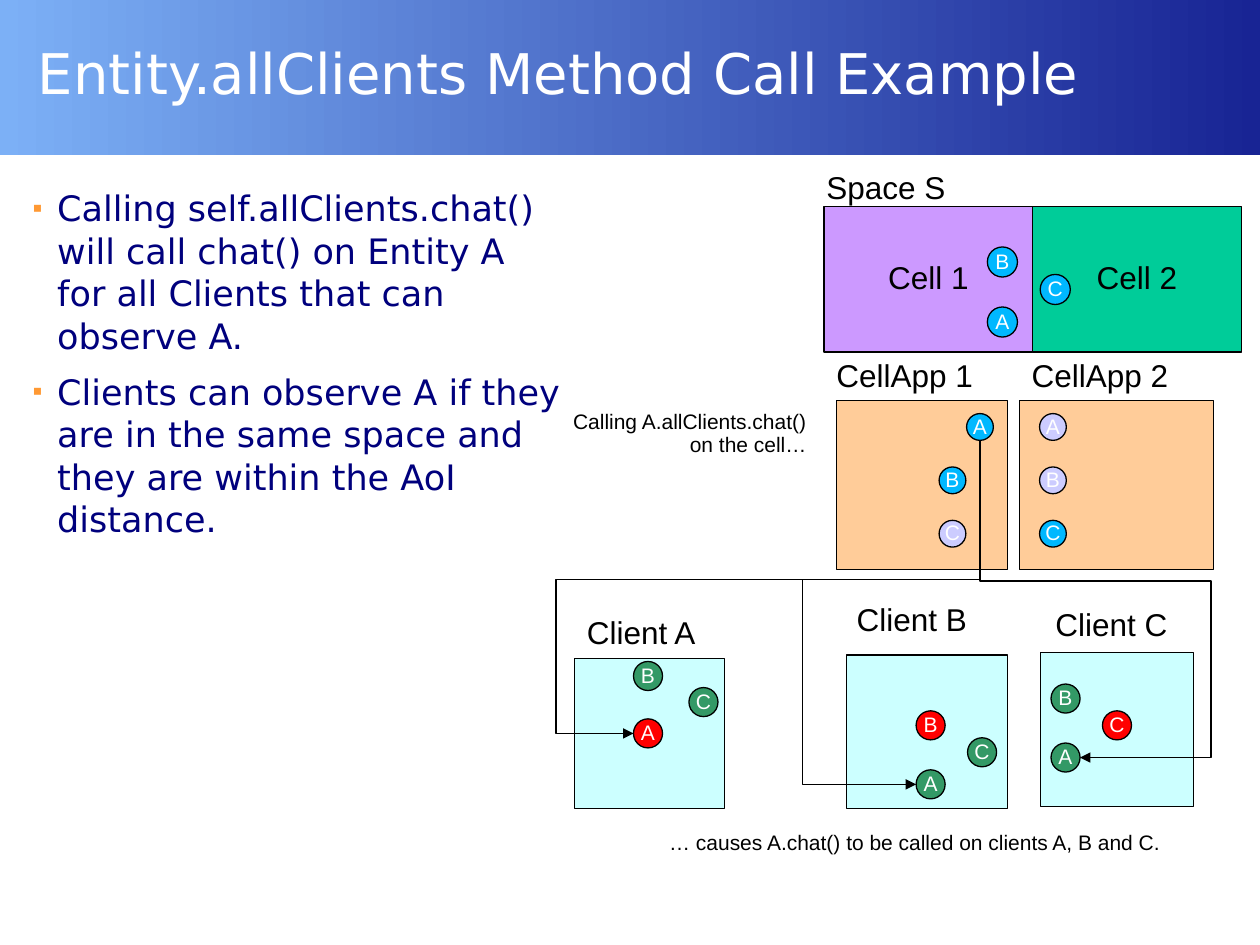
from dataclasses import dataclass

from lxml.etree import SubElement
from pptx import Presentation
from pptx.dml.color import RGBColor
from pptx.enum.shapes import MSO_CONNECTOR, MSO_SHAPE
from pptx.enum.text import MSO_ANCHOR, MSO_AUTO_SIZE, PP_ALIGN
from pptx.oxml.ns import qn
from pptx.util import Pt


@dataclass(frozen=True)
class Theme:
    black: str = "000000"
    white: str = "FFFFFF"
    banner_left: str = "7CB0F6"
    banner_right: str = "182494"
    body: str = "00007D"
    bullet: str = "FF9933"
    cell_1: str = "CC99FF"
    cell_2: str = "00CC99"
    cell_app: str = "FFCC99"
    client: str = "CCFFFF"
    real: str = "00B8FF"
    ghost: str = "CCCCFF"
    player: str = "FF0000"
    other: str = "339966"
    heading_font: str = "DejaVu Sans"
    label_font: str = "Arial"
    title_size: float = 32
    body_size: float = 20
    label_size: float = 18
    small_size: float = 12
    line_width: float = 0.75


class SlideBuilder:
    def __init__(self, slide, theme):
        self.s, self.t = slide, theme

    def style(self, tf, font, size, color, spacing, align=PP_ALIGN.LEFT):
        for p in tf.paragraphs:
            p.alignment, p.line_spacing = align, spacing
            for r in p.runs:
                r.font.name, r.font.size = font, Pt(size)
                r.font.color.rgb = RGBColor.from_string(color)

    def place(self, sp, x, y, w, h):
        sp.left, sp.top, sp.width, sp.height = Pt(x), Pt(y), Pt(w), Pt(h)

    def insets(self, tf, left, top, right, bottom):
        tf.margin_left, tf.margin_top = Pt(left), Pt(top)
        tf.margin_right, tf.margin_bottom = Pt(right), Pt(bottom)

    def banner(self, x, y, w, h):
        sp = self.s.shapes.add_shape(MSO_SHAPE.RECTANGLE, Pt(x), Pt(y), Pt(w), Pt(h))
        sp.shadow.inherit = False
        sp.line.fill.background()
        sp.fill.gradient()
        sp.fill.gradient_angle = 0
        colors = (self.t.banner_left, self.t.banner_right)
        for stop, color in zip(sp.fill.gradient_stops, colors):
            stop.color.rgb = RGBColor.from_string(color)
        self.s.shapes._spTree.insert(2, sp._element)  # behind the title

    def title(self, text, *box):
        sp = self.s.shapes.title
        self.place(sp, *box)
        tf = sp.text_frame
        tf.text = text
        tf.auto_size, tf.vertical_anchor = MSO_AUTO_SIZE.NONE, MSO_ANCHOR.MIDDLE
        self.insets(tf, 7.2, 3, 7.2, 3.6)
        self.style(tf, self.t.heading_font, self.t.title_size, self.t.white, 1.01)

    def bullets(self, items, *box):
        sp = self.s.placeholders[1]
        self.place(sp, *box)
        tf = sp.text_frame
        tf.text = "\n".join(items)
        tf.auto_size, tf.vertical_anchor = MSO_AUTO_SIZE.NONE, MSO_ANCHOR.TOP
        self.insets(tf, 4.3, 0.7, 2.9, 3.6)
        self.style(tf, self.t.heading_font, self.t.body_size, self.t.body, 1.01)
        for i, p in enumerate(tf.paragraphs):
            p.space_before = Pt(8 if i else 0)
            pPr = p._p.get_or_add_pPr()
            pPr.set("marL", str(Pt(14)))
            pPr.set("indent", str(Pt(-14)))
            SubElement(SubElement(pPr, qn("a:buClr")), qn("a:srgbClr"), val=self.t.bullet)
            SubElement(pPr, qn("a:buSzPct"), val="80000")
            SubElement(pPr, qn("a:buChar"), char="▪")

    def shape(self, kind, x, y, w, h, fill, text, size, color):
        sp = self.s.shapes.add_shape(kind, Pt(x), Pt(y), Pt(w), Pt(h))
        sp.shadow.inherit = False
        sp.fill.solid()
        sp.fill.fore_color.rgb = RGBColor.from_string(fill)
        sp.line.color.rgb = RGBColor.from_string(self.t.black)
        sp.line.width = Pt(self.t.line_width)
        tf = sp.text_frame
        tf.word_wrap, tf.vertical_anchor = False, MSO_ANCHOR.MIDDLE
        if text:
            tf.text = text
            self.style(tf, self.t.label_font, size, color, 0.93, PP_ALIGN.CENTER)
        return sp

    def box(self, x, y, w, h, fill, text=""):
        return self.shape(MSO_SHAPE.RECTANGLE, x, y, w, h, fill, text,
                          self.t.label_size, self.t.black)

    def entity(self, name, cx, cy, d, fill):
        return self.shape(MSO_SHAPE.OVAL, cx - d / 2, cy - d / 2, d, d, fill, name,
                          self.t.small_size, self.t.white)

    def label(self, text, x, y, w, h, size, align=PP_ALIGN.LEFT):
        tf = self.s.shapes.add_textbox(Pt(x), Pt(y), Pt(w), Pt(h)).text_frame
        tf.text, tf.word_wrap = text, False
        tf.auto_size = MSO_AUTO_SIZE.SHAPE_TO_FIT_TEXT
        self.style(tf, self.t.label_font, size, self.t.black, 0.93, align)

    def call_arrow(self, source, target, bend_x, bend_y):
        """Down from source, across to bend_x, then into target's near side."""
        from_left = bend_x < target.left.pt
        x0, y0 = source.left.pt + source.width.pt / 2, source.top.pt + source.height.pt
        x1 = target.left.pt + (0 if from_left else target.width.pt)
        y1 = target.top.pt + target.height.pt / 2
        # The frame is turned a quarter, so its width is the vertical run
        w, h = y1 - y0, abs(x1 - x0)
        x, y = (x0 + x1 - w) / 2, (y0 + y1 - h) / 2
        cx = self.s.shapes.add_connector(MSO_CONNECTOR.ELBOW, Pt(x), Pt(y),
                                         Pt(x + w), Pt(y + h))
        cx.line.color.rgb = RGBColor.from_string(self.t.black)
        cx.line.width = Pt(self.t.line_width)
        spPr = cx._element.spPr
        xfrm = spPr.find(qn("a:xfrm"))
        xfrm.set("rot", str((90 if from_left else 270) * 60000))
        if not from_left:
            xfrm.set("flipH", "1")
        geom = spPr.find(qn("a:prstGeom"))
        geom.set("prst", "bentConnector4")
        av = geom.find(qn("a:avLst"))
        if av is None:
            av = SubElement(geom, qn("a:avLst"))
        ratios = ((bend_y - y0) / w, (bend_x - x0) / (x1 - x0))
        for i, ratio in enumerate(ratios, 1):
            SubElement(av, qn("a:gd"), name=f"adj{i}", fmla=f"val {round(ratio * 100000)}")
        SubElement(spPr.find(qn("a:ln")), qn("a:tailEnd"), type="triangle")
        SubElement(spPr, qn("a:effectLst"))
        # Ovals have eight sites: 2 left, 4 bottom, 6 right
        ends = cx._element.find(".//" + qn("p:cNvCxnSpPr"))
        for tag, sp, site in (("a:stCxn", source, 4),
                              ("a:endCxn", target, 2 if from_left else 6)):
            SubElement(ends, qn(tag), id=str(sp.shape_id), idx=str(site))


def main():
    prs = Presentation()
    prs.slide_width, prs.slide_height = Pt(720), Pt(540)
    t = Theme()
    b = SlideBuilder(prs.slides.add_slide(prs.slide_layouts[1]), t)

    # Title and list
    b.banner(0, 0, 720, 88.6)
    b.title("Entity.allClients Method Call Example", 14.4, 0, 689, 82.8)
    b.bullets(["Calling self.allClients.chat() will call chat() on Entity A "
               "for all Clients that can observe A.",
               "Clients can observe A if they are in the same space and "
               "they are within the AoI distance."], 14.4, 105.8, 311, 396.7)

    # Space with its two cells
    b.box(470.9, 118.2, 119.2, 83, t.cell_1, "Cell 1")
    b.box(590.1, 118.2, 119.2, 83, t.cell_2, "Cell 2")
    b.label("Space S", 465.2, 94.5, 84, 27.4, t.label_size)
    for name, cx, cy in (("A", 572.8, 184), ("C", 603, 165.4), ("B", 572.8, 149.7)):
        b.entity(name, cx, cy, 17.2, t.real)

    # Cell apps: each holds its real entities and ghosts of the others
    apps = (("CellApp 1", 478, 97.8, 470.9, (560, 544.3, 544.3), "AB"),
            ("CellApp 2", 582.6, 111, 582.5, (601.7,) * 3, "C"))
    reals = {}
    for app, x, w, label_x, columns, owned in apps:
        b.box(x, 228.8, w, 96.5, t.cell_app)
        b.label(app, label_x, 201.6, 94, 27.4, t.label_size)
        for row, (name, cx) in enumerate(zip("ABC", columns)):
            sp = b.entity(name, cx, 244 + 30.5 * row, 15.3,
                          t.real if name in owned else t.ghost)
            if name in owned:
                reals[name] = sp

    # Clients: box, label corner, entity centres, bend of the call arrow
    clients = (
        ("A", (328.3, 376.2, 85.8, 85.8), (328.3, 348.5),
         {"A": (370.3, 419.1), "C": (402, 401.2), "B": (370.3, 386.3)}, (317.6, 331.2)),
        ("B", (483.8, 374.3, 92, 87.7), (482.4, 341.3),
         {"A": (531.8, 448.2), "C": (561.2, 429.9), "B": (531.8, 414.5)}, (458.4, 331.2)),
        ("C", (594.4, 373, 87.8, 87.8), (596, 343.9),
         {"A": (608.9, 432.9), "C": (638.3, 414.5), "B": (608.9, 399.2)}, (692, 332.2)),
    )
    calls = []
    for client, frame, corner, entities, bend in clients:
        b.box(*frame, t.client)
        b.label(f"Client {client}", *corner, 79, 27.4, t.label_size)
        seen = {name: b.entity(name, *center, 16.6, t.player if name == client else t.other)
                for name, center in entities.items()}
        calls.append((seen["A"], *bend))

    # Calls from the real A to A on every client
    for call in calls:
        b.call_arrow(reals["A"], *call)

    # Captions
    b.label("… causes A.chat() to be called on clients A, B and C.",
            375.3, 471.6, 296.6, 20.9, t.small_size)
    b.label("Calling A.allClients.chat()\non the cell…",
            319.7, 231, 148.3, 34, t.small_size, PP_ALIGN.RIGHT)

    prs.save("out.pptx")


if __name__ == "__main__":
    main()
